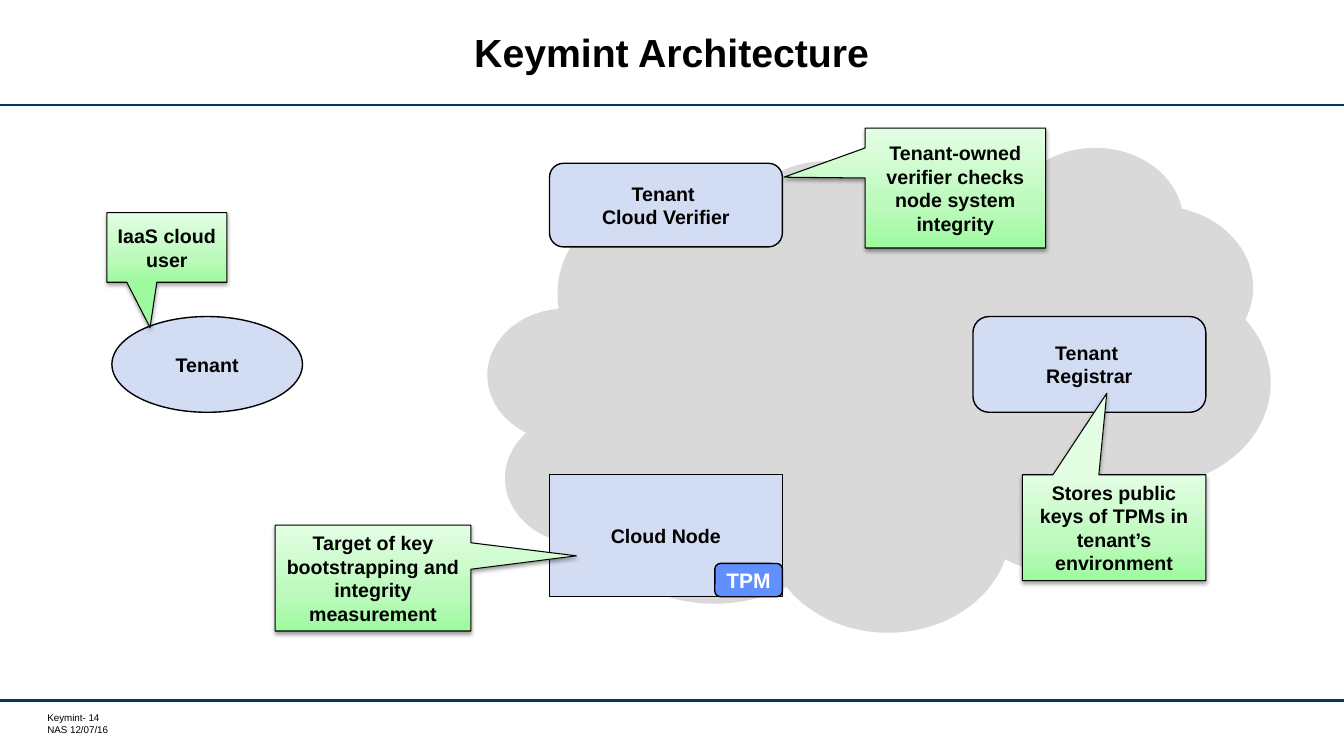
from lxml.etree import SubElement
from pptx import Presentation
from pptx.dml.color import RGBColor
from pptx.enum.shapes import MSO_CONNECTOR, MSO_SHAPE
from pptx.enum.text import MSO_ANCHOR, PP_ALIGN
from pptx.oxml import parse_xml
from pptx.oxml.ns import nsdecls, qn
from pptx.util import Inches, Pt

COLORS = {
    "black": "000000", "white": "FFFFFF", "rule": "003767", "cloud": "D9D9D9",
    "node": "D2DCF2", "tpm": "618FFD",
}
CALLOUT_STOPS = [(0, "9EFA9E"), (35, "BCFABC"), (100, "E4FEE4")]


def rgb(name):
    return RGBColor.from_string(COLORS[name])


def write(tf, text, size=14, bold=True, color="black", align=PP_ALIGN.CENTER,
          anchor=MSO_ANCHOR.MIDDLE, margins=(0.1, 0.05), spacing=None):
    tf.word_wrap = True
    tf.vertical_anchor = anchor
    tf.margin_left = tf.margin_right = Inches(margins[0])
    tf.margin_top = tf.margin_bottom = Inches(margins[1])
    tf.text = text
    for p in tf.paragraphs:
        p.alignment = align
        p.line_spacing = spacing
        for r in p.runs:
            r.font.name = "Arial"
            r.font.size = Pt(size)
            r.font.bold = bold
            r.font.color.rgb = rgb(color)


class Deck:
    def __init__(self, width, height):
        self.prs = Presentation()
        self.prs.slide_width = Inches(width)
        self.prs.slide_height = Inches(height)
        self.s = self.prs.slides.add_slide(self.prs.slide_layouts[6])

    def rule(self, y):
        line = self.s.shapes.add_connector(
            MSO_CONNECTOR.STRAIGHT, 0, Inches(y), self.prs.slide_width, Inches(y))
        line.line.color.rgb = rgb("rule")
        line.line.width = Pt(1.75)
        SubElement(line._element.spPr, qn("a:effectLst"))

    def text(self, box, text, **fmt):
        sp = self.s.shapes.add_textbox(*map(Inches, box))
        write(sp.text_frame, text, **fmt)

    def shape(self, kind, box, text="", fill="node", line=1, **fmt):
        sp = self.s.shapes.add_shape(kind, *map(Inches, box))
        sp.shadow.inherit = False
        if fill:
            sp.fill.solid()
            sp.fill.fore_color.rgb = rgb(fill)
        if line:
            sp.line.color.rgb = rgb("black")
            sp.line.width = Pt(line)
        else:
            sp.line.fill.background()
        if text:
            write(sp.text_frame, text, **fmt)
        return sp

    def callout(self, box, tip, text):
        sp = self.shape(MSO_SHAPE.RECTANGULAR_CALLOUT, box, text, fill=None, line=0.75)
        sp.adjustments[0], sp.adjustments[1] = tip
        spPr = sp._element.spPr
        stops = "".join(f'<a:gs pos="{pos * 1000}"><a:srgbClr val="{color}"/></a:gs>'
                        for pos, color in CALLOUT_STOPS)
        spPr.find(qn("a:prstGeom")).addnext(parse_xml(
            f'<a:gradFill {nsdecls("a")} rotWithShape="1"><a:gsLst>{stops}</a:gsLst>'
            '<a:lin ang="16200000" scaled="0"/></a:gradFill>'))
        spPr.find(qn("a:effectLst")).append(parse_xml(
            f'<a:outerShdw {nsdecls("a")} blurRad="{Pt(3.1)}" dist="{Pt(1.6)}" '
            'dir="5400000" rotWithShape="0"><a:srgbClr val="000000">'
            '<a:alpha val="38000"/></a:srgbClr></a:outerShdw>'))


def main():
    deck = Deck(13.33, 7.5)
    deck.rule(1.04)
    deck.text((0.47, 7.06, 1.59, 0.24), "Keymint- 14\nNAS 12/07/16", size=7, bold=False,
              align=PP_ALIGN.LEFT, anchor=MSO_ANCHOR.TOP, margins=(0, 0))
    deck.rule(6.95)
    deck.shape(MSO_SHAPE.CLOUD, (4.84, 1.45, 7.76, 4.81), fill="cloud", line=None)
    deck.text((1.37, 0.11, 10.58, 0.89), "Keymint Architecture", size=28, spacing=Pt(28))

    rounded = MSO_SHAPE.ROUNDED_RECTANGLE
    deck.shape(rounded, (5.45, 1.62, 2.31, 0.83), "Tenant \vCloud Verifier")
    deck.shape(MSO_SHAPE.OVAL, (1.11, 3.14, 1.89, 0.95), "Tenant")
    deck.shape(rounded, (9.65, 3.14, 2.31, 0.95), "Tenant \vRegistrar")
    deck.shape(MSO_SHAPE.RECTANGLE, (5.45, 4.71, 2.31, 1.21), "Cloud Node")
    deck.shape(rounded, (7.09, 5.59, 0.67, 0.33), "TPM", fill="tpm",
               size=15, color="white", margins=(0, 0.05))

    for box, tip, text in [
        ((10.14, 4.71, 1.82, 1.05), (-0.04, -1.27),
         "Stores public keys of TPMs in tenant’s environment"),
        ((2.73, 5.21, 1.94, 1.05), (1.04, -0.21),
         "Target of key bootstrapping and integrity measurement"),
        ((1.06, 2.11, 1.19, 0.69), (-0.14, 1.15), "IaaS cloud user"),
        ((8.58, 1.27, 1.79, 1.19), (-0.95, -0.09),
         "Tenant-owned verifier checks node system integrity"),
    ]:
        deck.callout(box, tip, text)
    deck.prs.save("out.pptx")


if __name__ == "__main__":
    main()
